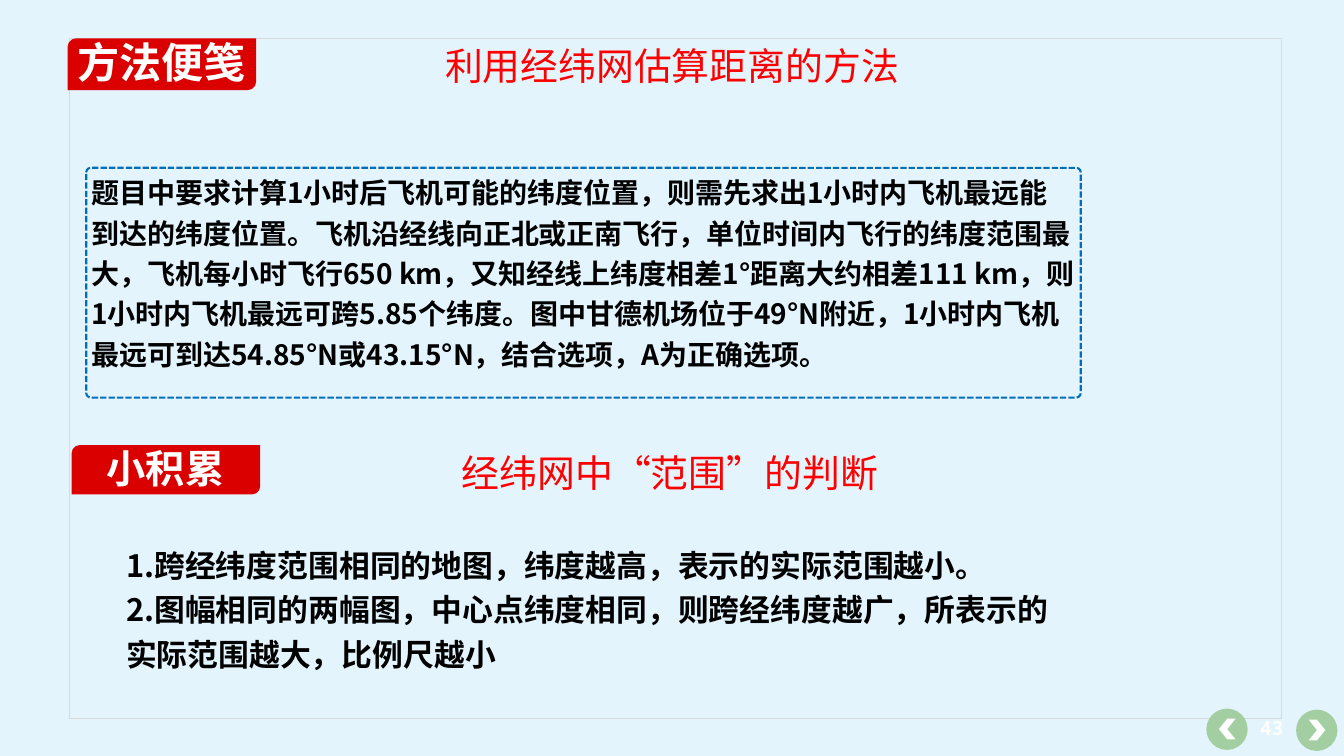
import pptx
import pptx.util
import pptx.dml.color
import pptx.enum.dml
import pptx.enum.shapes
import pptx.enum.text
import pptx.oxml.ns
import lxml.etree

PX = pptx.util.Inches(0.01)
COLORS = {
    "background": "E3F4FD", "frame": "D9D9D9", "tag": "DA0000", "heading": "FF0000",
    "body": "000000", "light": "FFFFFF", "button": "A2CEA1", "dash": "036EB8",
}
SHAPES = pptx.enum.shapes.MSO_SHAPE
ANCHOR = pptx.enum.text.MSO_ANCHOR
ALIGN = pptx.enum.text.PP_ALIGN
CJK_FONT = "Noto Sans CJK SC"
METHOD_TEXT = (
    "题目中要求计算1小时后飞机可能的纬度位置，则需先求出1小时内飞机最远能到达的纬度位置。"
    "飞机沿经线向正北或正南飞行，单位时间内飞行的纬度范围最大，飞机每小时飞行650 km，"
    "又知经线上纬度相差1°距离大约相差111 km，则1小时内飞机最远可跨5.85个纬度。"
    "图中甘德机场位于49°N附近，1小时内飞机最远可到达54.85°N或43.15°N，结合选项，A为正确选项。"
)
RANGE_RULES = [
    "1.跨经纬度范围相同的地图，纬度越高，表示的实际范围越小。",
    "2.图幅相同的两幅图，中心点纬度相同，则跨经纬度越广，所表示的实际范围越大，比例尺越小",
]


def rgb(name):
    """Return the named colour."""
    return pptx.dml.color.RGBColor.from_string(COLORS[name])


def emu(box):
    """Turn px lengths into EMU."""
    return [length * PX for length in box]


def place(placeholder, box):
    """Move a placeholder to a box."""
    placeholder.left, placeholder.top, placeholder.width, placeholder.height = emu(box)


def write(holder, lines, size, color, bold=False, align=ALIGN.LEFT,
          anchor=ANCHOR.TOP, wrap=True, font=CJK_FONT, spacing=1.0):
    """Fill a text holder with one formatted run per line."""
    frame = holder.text_frame
    frame.word_wrap = wrap
    frame.auto_size = pptx.enum.text.MSO_AUTO_SIZE.NONE
    frame.vertical_anchor = anchor
    for index, line in enumerate(lines):
        paragraph = frame.add_paragraph() if index else frame.paragraphs[0]
        paragraph.alignment = align
        paragraph.line_spacing = spacing
        paragraph.space_before = pptx.util.Pt(0)
        run = paragraph.add_run()
        run.text = line
        run.font.size = pptx.util.Pt(size)
        run.font.bold = bold
        run.font.name = font
        run.font.color.rgb = rgb(color)
        east_asian = lxml.etree.SubElement(run.font._element, pptx.oxml.ns.qn("a:ea"))
        east_asian.set("typeface", font)


def remove_bullets(holder):
    """Set every paragraph flush left without a bullet."""
    for paragraph in holder.text_frame.paragraphs:
        properties = paragraph._p.get_or_add_pPr()
        properties.set("marL", "0")
        properties.set("indent", "0")
        lxml.etree.SubElement(properties, pptx.oxml.ns.qn("a:buNone"))


def add_text(slide, box, text, size, color, **style):
    """Add a one-paragraph text box."""
    write(slide.shapes.add_textbox(*emu(box)), [text], size, color, **style)


def add_solid(shapes, kind, box, color):
    """Add a filled shape without a line."""
    solid = shapes.add_shape(kind, *emu(box))
    solid.shadow.inherit = False
    solid.fill.solid()
    solid.fill.fore_color.rgb = rgb(color)
    solid.line.fill.background()
    return solid


def add_outline(slide, kind, box, color, width):
    """Add an unfilled shape with a line."""
    outline = slide.shapes.add_shape(kind, *emu(box))
    outline.shadow.inherit = False
    outline.fill.background()
    outline.line.color.rgb = rgb(color)
    outline.line.width = pptx.util.Pt(width)
    return outline


def add_tag(slide, box, label_box, label, size):
    """Add a red section tag with its label."""
    add_solid(slide.shapes, SHAPES.ROUND_2_DIAG_RECTANGLE, box, "tag")
    add_text(slide, label_box, label, size, "light", bold=True,
             align=ALIGN.CENTER, anchor=ANCHOR.MIDDLE, wrap=False)


def add_page_button(slide, left, top, rotation):
    """Add a round button with a chevron turned by rotation."""
    button = slide.shapes.add_group_shape()
    add_solid(button.shapes, SHAPES.OVAL, (left, top, 82, 82), "button")
    chevron = add_solid(button.shapes, SHAPES.CHEVRON, (left + 25, top + 20, 33, 41), "light")
    chevron.rotation = rotation


def main():
    """Build and save the slide."""
    deck = pptx.Presentation()
    deck.slide_width, deck.slide_height = emu((2665, 1500))
    slide = deck.slides.add_slide(deck.slide_layouts[1])
    slide.background.fill.solid()
    slide.background.fill.fore_color.rgb = rgb("background")

    title, rules = slide.placeholders
    place(title, (565, 80, 1535, 101))
    write(title, ["利用经纬网估算距离的方法"], 54, "heading", align=ALIGN.CENTER)
    place(rules, (240, 1065, 1903, 277))
    write(rules, RANGE_RULES, 44, "body", bold=True, spacing=1.2)
    remove_bullets(rules)

    add_outline(slide, SHAPES.RECTANGLE, (137, 75, 2403, 1350), "frame", 0.25)
    add_text(slide, (2483, 1416, 78, 71), "43", 28, "light", bold=True,
             align=ALIGN.CENTER, font="Noto Sans Mono")
    add_page_button(slide, 2392, 1406, 180)
    add_page_button(slide, 2570, 1408, 0)

    add_tag(slide, (134, 76, 374, 103), (138, 66, 366, 111), "方法便笺", 60)
    add_tag(slide, (142, 883, 374, 98), (197, 877, 262, 104), "小积累", 56)
    add_text(slide, (906, 887, 853, 101), "经纬网中“范围”的判断", 54, "heading", wrap=False)

    add_text(slide, (171, 331, 1972, 414), METHOD_TEXT, 40, "body", bold=True, spacing=1.2)
    border = add_outline(slide, SHAPES.ROUNDED_RECTANGLE, (171, 333, 1972, 456), "dash", 3)
    border.adjustments[0] = 0.02
    border.line.dash_style = pptx.enum.dml.MSO_LINE.SQUARE_DOT

    deck.save("out.pptx")


if __name__ == "__main__":
    main()
